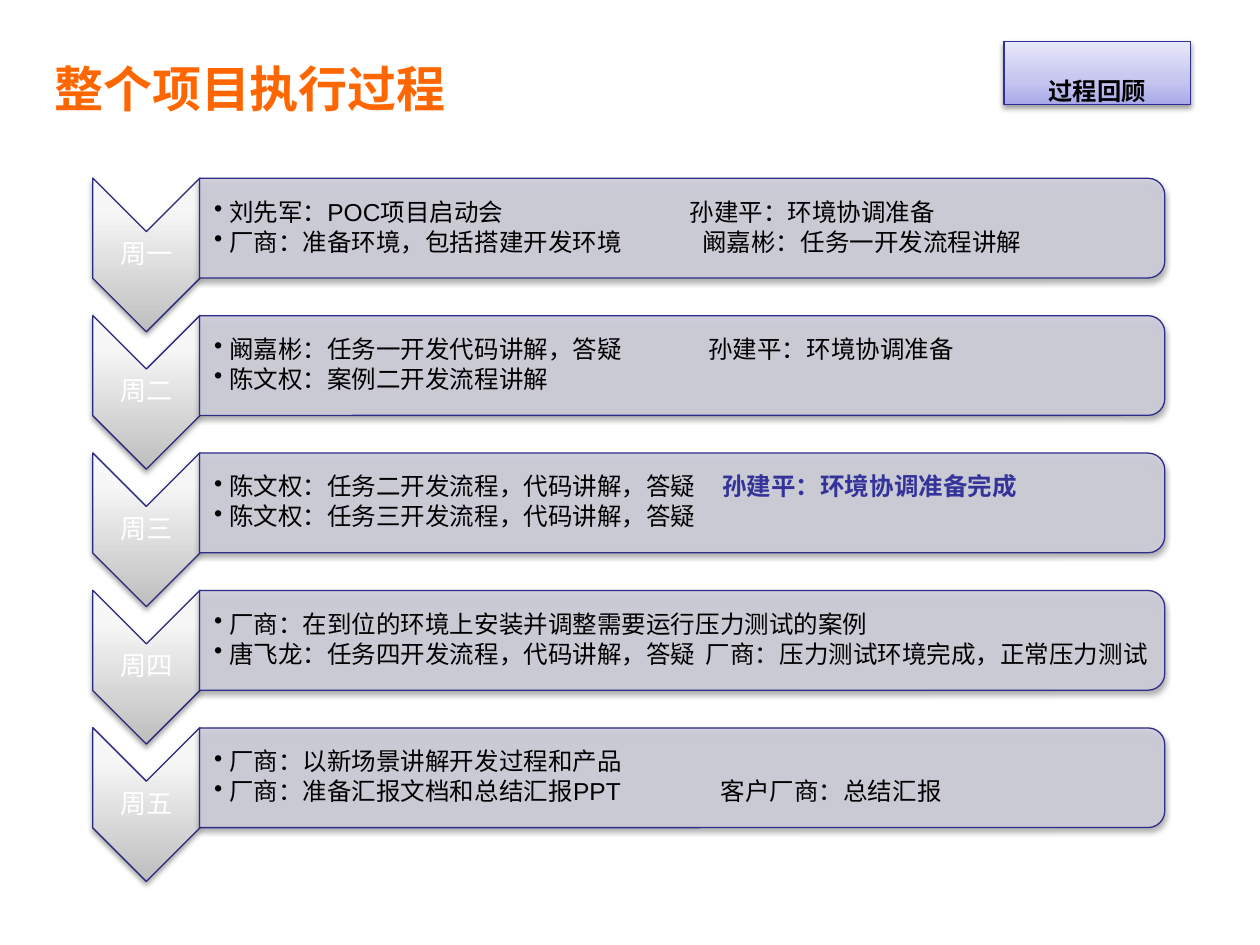
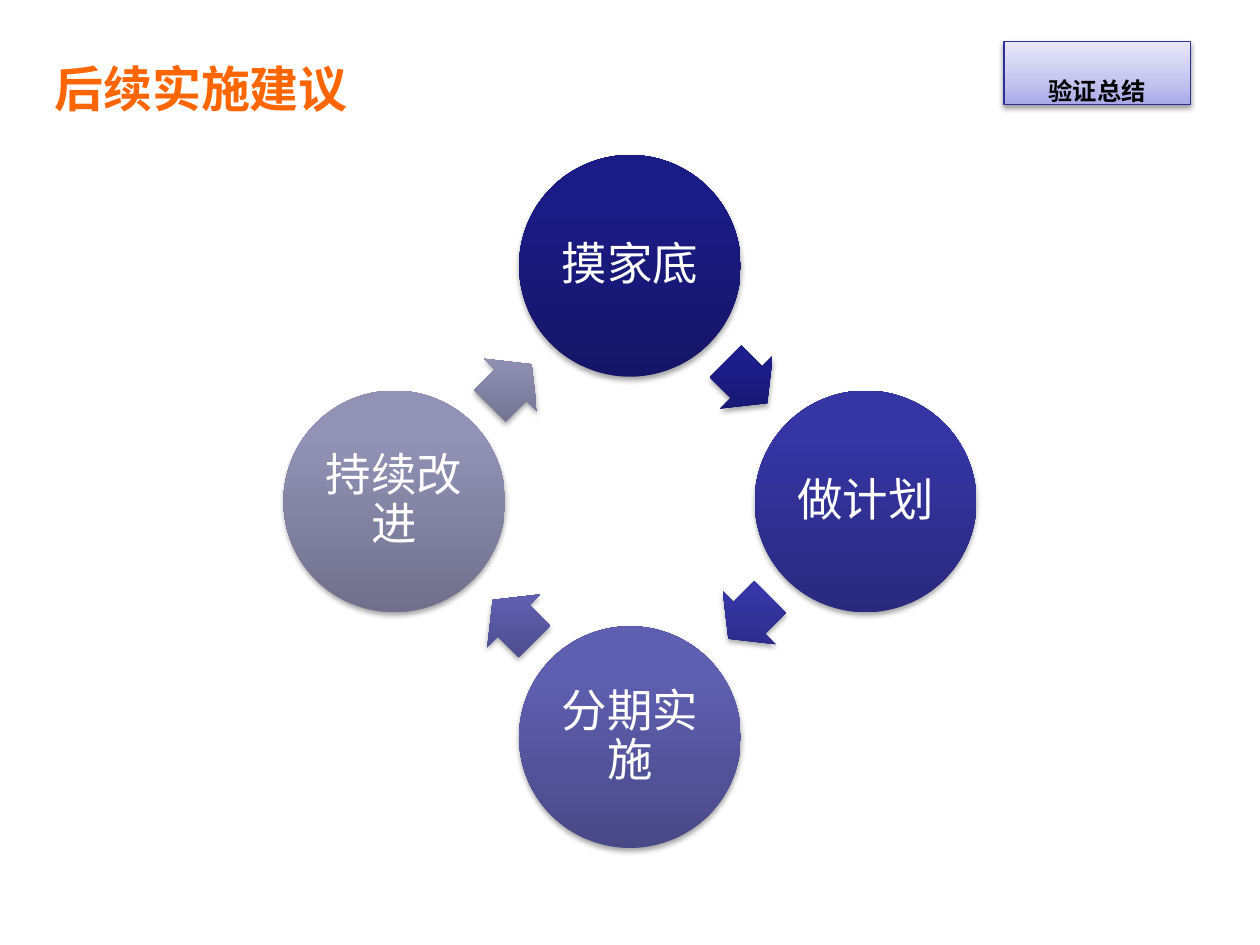
"""Build two project review slides: the weekly schedule and the follow-up cycle."""
from dataclasses import dataclass
from math import cos, radians, sin

from lxml.etree import SubElement
from pptx import Presentation
from pptx.dml.color import RGBColor
from pptx.enum.shapes import MSO_SHAPE as Shp
from pptx.enum.text import MSO_ANCHOR as Anchor, PP_ALIGN as Align
from pptx.oxml.ns import qn
from pptx.util import Cm, Pt

WEEK_TITLE, WEEK_TAG = "整个项目执行过程", "过程回顾"
WEEK = [
    ("周一", [("刘先军：POC项目启动会", "孙建平：环境协调准备", 9.58),
            ("厂商：准备环境，包括搭建开发环境", "阚嘉彬：任务一开发流程讲解", 9.84)]),
    ("周二", [("阚嘉彬：任务一开发代码讲解，答疑", "孙建平：环境协调准备", 9.96),
            ("陈文权：案例二开发流程讲解",)]),
    ("周三", [("陈文权：任务二开发流程，代码讲解，答疑", "孙建平：环境协调准备完成", 10.24),
            ("陈文权：任务三开发流程，代码讲解，答疑",)]),
    ("周四", [("厂商：在到位的环境上安装并调整需要运行压力测试的案例",),
            ("唐飞龙：任务四开发流程，代码讲解，答疑", "厂商：压力测试环境完成，正常压力测试", 9.91)]),
    ("周五", [("厂商：以新场景讲解开发过程和产品",),
            ("厂商：准备汇报文档和总结汇报PPT", "客户厂商：总结汇报", 10.21)]),
]
MILESTONE = "孙建平：环境协调准备完成"

CYCLE_TITLE, CYCLE_TAG = "后续实施建议", "验证总结"
CYCLE = [
    ("摸家底", ("151567", "1B1B86", "191988"), ("16166C", "1D1D8D", "1B1B8F")),
    ("做计划", ("29297E", "3535A4", "3333A7"), ("292982", "3636A8", "3434AB")),
    ("分期实施", ("494988", "5F5FB1", "5E5EB3"), ("4A4A89", "6060B2", "5F5FB4")),
    ("持续改进", ("70708C", "9292B6", "9292B8"), ("6F6F8D", "9191B6", "9191B8")),
]


@dataclass(frozen=True)
class Theme:
    """Colours, font and type sizes of the deck."""
    font: str = "Arial"
    title: str = "FF6600"
    text: str = "000000"
    light: str = "FFFFFF"
    accent: str = "333399"
    tag_fill: tuple = ("A9A9E9", "C4C4EF", "E8E8FA")
    tag_line: str = "2F2F98"
    day_fill: tuple = ("BEBEBE", "F7F7F7", "F8F8F8")
    day_line: str = "29297D"
    bar_fill: str = "CDCDDA"
    bar_line: str = "2D2D8A"
    title_size: int = 28
    tag_size: int = 24
    cycle_size: int = 26
    day_size: int = 15
    body_size: int = 14


T = Theme()


def style(obj, **values):
    """Set every given attribute on an object."""
    for name, value in values.items():
        setattr(obj, name, value)


def set_frame(tf, inset, anchor=Anchor.MIDDLE, left=None):
    """Set wrapping, anchor and insets in centimetres."""
    side = Cm(inset)
    style(tf, word_wrap=True, vertical_anchor=anchor, margin_right=side, margin_top=side,
          margin_bottom=side, margin_left=side if left is None else Cm(left))


def add_run(p, text, size, color, bold=False):
    """Append a formatted run to a paragraph."""
    r = p.add_run()
    r.text = text
    style(r.font, name=T.font, size=Pt(size), bold=bold)
    r.font.color.rgb = RGBColor.from_string(color)
    return r


def add_label(tf, text, size):
    """Write one centred light label."""
    p = tf.paragraphs[0]
    style(p, alignment=Align.CENTER, line_spacing=0.9, space_after=Pt(round(size * 0.35)))
    add_run(p, text, size, T.light)


def add_figure(slide, kind, cx, cy, w, h, rot=0, line=None, shade=35, drop=1.8):
    """Add a shadowed preset shape around a centre point."""
    sp = slide.shapes.add_shape(kind, Cm(cx - w / 2), Cm(cy - h / 2), Cm(w), Cm(h))
    sp.rotation = rot
    if line:
        sp.line.color.rgb = RGBColor.from_string(line)
        sp.line.width = Pt(0.75)
    else:
        sp.line.fill.background()
    sp.shadow.inherit = False
    effects = sp.element.spPr.find(qn("a:effectLst"))
    shadow = SubElement(effects, qn("a:outerShdw"), blurRad=str(Pt(3.1)), dist=str(Pt(drop)),
                        dir="5400000", rotWithShape="0")
    black = SubElement(shadow, qn("a:srgbClr"), val=T.text)
    SubElement(black, qn("a:alpha"), val=str(shade * 1000))
    return sp


def fill_gradient(sp, colors, middle=80):
    """Fill a shape upward through three colours."""
    sp.fill.gradient()
    sp.fill.gradient_angle = 90
    grad = sp.element.spPr.find(qn("a:gradFill"))
    grad.set("rotWithShape", "0")
    stops = grad.find(qn("a:gsLst"))
    for stop in list(stops):
        stops.remove(stop)
    for pos, color in zip((0, middle, 100), colors):
        stop = SubElement(stops, qn("a:gs"), pos=str(pos * 1000))
        SubElement(stop, qn("a:srgbClr"), val=color)


def add_slide(prs, title, tag):
    """Add a slide with the shared title and corner tag."""
    slide = prs.slides.add_slide(prs.slide_layouts[5])
    s = slide.shapes.title
    style(s, left=Cm(0.84), top=Cm(0.99), width=Cm(23.93), height=Cm(1.55))
    s.text_frame.vertical_anchor = Anchor.MIDDLE
    p = s.text_frame.paragraphs[0]
    p.alignment = Align.LEFT
    add_run(p, title, T.title_size, T.title, True)

    sp = add_figure(slide, Shp.RECTANGLE, 22.12, 1.47, 3.76, 1.27,
                    line=T.tag_line, shade=38, drop=1.6)
    fill_gradient(sp, T.tag_fill, 35)
    sp.text_frame.vertical_anchor = Anchor.TOP
    p = sp.text_frame.paragraphs[0]
    p.alignment = Align.CENTER
    r = add_run(p, tag, T.tag_size, T.text, True)
    r.font._element.set("baseline", "-25000")
    return slide


def add_task(p, left, right=None, tab=None):
    """Write a bulleted task with an optional second column."""
    style(p, line_spacing=0.9, space_after=Pt(2))
    ppr = p._p.get_or_add_pPr()
    ppr.set("marL", str(Cm(0.3)))
    ppr.set("indent", str(-Cm(0.3)))
    SubElement(ppr, qn("a:buChar"), char="•")
    add_run(p, left, T.body_size, T.text)
    if right:
        tabs = SubElement(ppr, qn("a:tabLst"))
        SubElement(tabs, qn("a:tab"), pos=str(Cm(tab)), algn="l")
        add_run(p, "\t", T.body_size, T.text)
        key = right == MILESTONE
        add_run(p, right, T.body_size, T.accent if key else T.text, key)


def add_day(slide, cy, day, tasks):
    """Add one day's chevron and its task bar."""
    day_x, day_y = 2.95, cy + 0.54
    sp = add_figure(slide, Shp.CHEVRON, day_x, day_y, 3.1, 2.16, 90, T.day_line)
    fill_gradient(sp, T.day_fill)
    s = slide.shapes.add_textbox(Cm(day_x - 1.08), Cm(day_y - 0.47), Cm(2.16), Cm(0.94))
    set_frame(s.text_frame, 0.03)
    add_label(s.text_frame, day, T.day_size)

    sp = add_figure(slide, Shp.ROUND_2_SAME_RECTANGLE, 13.75, cy, 2.01, 19.46, 90, T.bar_line)
    sp.fill.solid()
    sp.fill.fore_color.rgb = RGBColor.from_string(T.bar_fill)
    color = sp.element.spPr.find(qn("a:solidFill"))[0]
    SubElement(color, qn("a:alpha"), val="90000")
    s = slide.shapes.add_textbox(Cm(4.04), Cm(cy - 0.9), Cm(19.8), Cm(1.8))
    tf = s.text_frame
    set_frame(tf, 0.03, left=0.28)
    for i, task in enumerate(tasks):
        add_task(tf.add_paragraph() if i else tf.paragraphs[0], *task)


def add_cycle(slide, cx=12.7, cy=10.11, radius=4.75):
    """Add the ring of steps, with an arrow after each."""
    reach, lag = radius * cos(radians(45)), 0.04
    for i, (step, disc_fill, arrow_fill) in enumerate(CYCLE):
        a = radians(90 * i - 90)
        sp = add_figure(slide, Shp.OVAL, cx + radius * cos(a), cy + radius * sin(a), 4.47, 4.47)
        fill_gradient(sp, disc_fill)
        set_frame(sp.text_frame, 0.1)
        add_label(sp.text_frame, step, T.cycle_size)

        turn = 90 * i + 45
        mid, way = radians(turn - 90), radians(turn)
        sp = add_figure(slide, Shp.RIGHT_ARROW, cx + reach * cos(mid) - lag * cos(way),
                        cy + reach * sin(mid) - lag * sin(way), 1.19, 1.5, turn)
        sp.adjustments[0], sp.adjustments[1] = 0.6, 0.5
        fill_gradient(sp, arrow_fill)


def main():
    """Build and save the deck."""
    prs = Presentation()
    style(prs, slide_width=Cm(25.4), slide_height=Cm(19.05))
    slide = add_slide(prs, WEEK_TITLE, WEEK_TAG)
    for i, (day, tasks) in enumerate(WEEK):
        add_day(slide, 4.6 + 2.77 * i, day, tasks)
    add_cycle(add_slide(prs, CYCLE_TITLE, CYCLE_TAG))
    prs.save("out.pptx")


if __name__ == "__main__":
    main()
